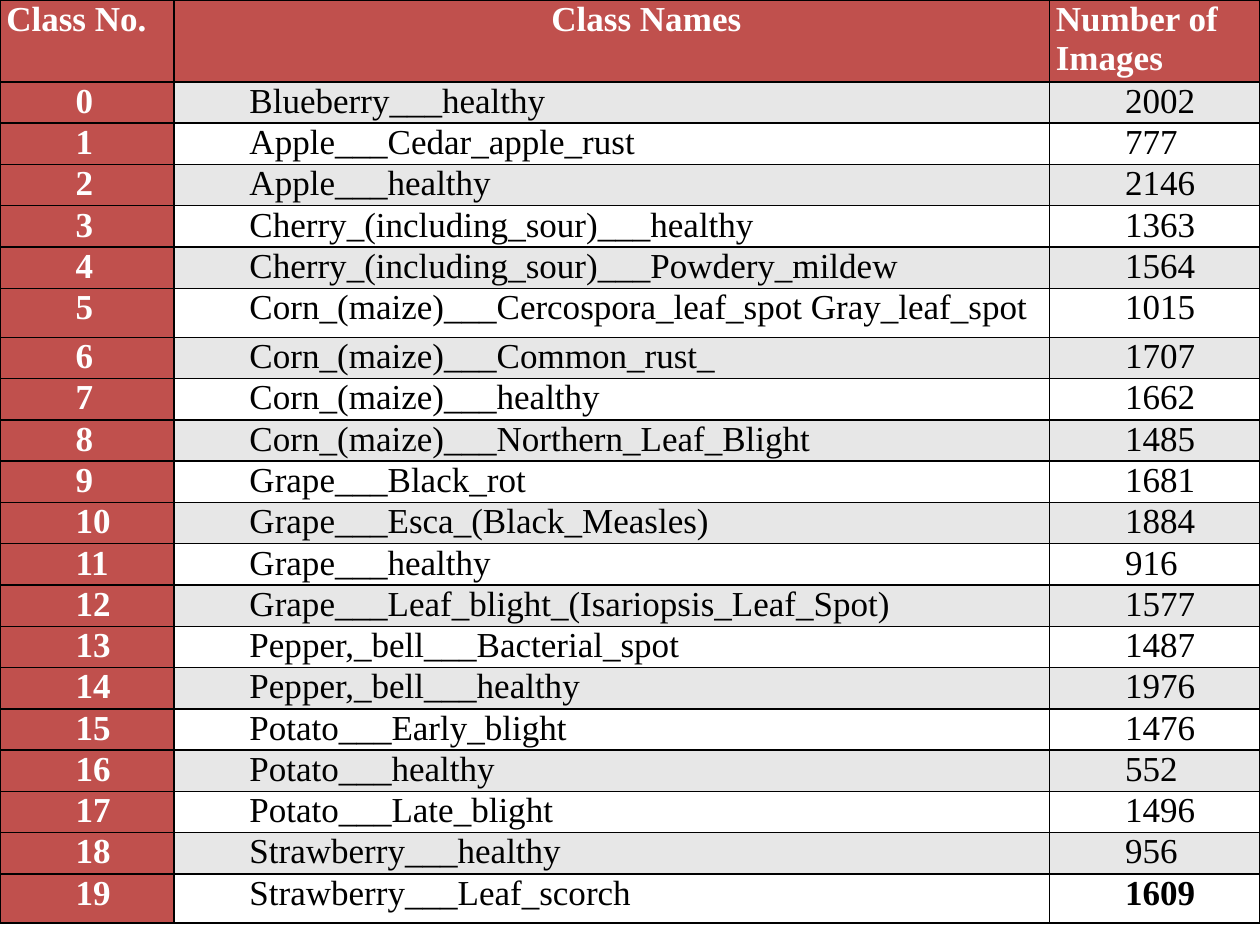
import dataclasses

import lxml.etree
import pptx
import pptx.dml.color
import pptx.enum.text
import pptx.oxml.ns
import pptx.util

Inches = pptx.util.Inches
RGBColor = pptx.dml.color.RGBColor


@dataclasses.dataclass(frozen=True)
class Theme:
    font: str = "Times New Roman"
    text_size: int = 20
    accent: str = "C0504D"
    band: str = "E7E7E7"
    plain: str = "FFFFFF"
    on_accent: str = "FFFFFF"
    text: str = "000000"
    border: str = "000000"
    border_width: int = 1


THEME = Theme()

HEADINGS = ["Class No.", "Class Names", "Number of Images"]
CLASSES = [
    ("Blueberry___healthy", 2002),
    ("Apple___Cedar_apple_rust", 777),
    ("Apple___healthy", 2146),
    ("Cherry_(including_sour)___healthy", 1363),
    ("Cherry_(including_sour)___Powdery_mildew", 1564),
    ("Corn_(maize)___Cercospora_leaf_spot Gray_leaf_spot", 1015),
    ("Corn_(maize)___Common_rust_", 1707),
    ("Corn_(maize)___healthy", 1662),
    ("Corn_(maize)___Northern_Leaf_Blight", 1485),
    ("Grape___Black_rot", 1681),
    ("Grape___Esca_(Black_Measles)", 1884),
    ("Grape___healthy", 916),
    ("Grape___Leaf_blight_(Isariopsis_Leaf_Spot)", 1577),
    ("Pepper,_bell___Bacterial_spot", 1487),
    ("Pepper,_bell___healthy", 1976),
    ("Potato___Early_blight", 1476),
    ("Potato___healthy", 552),
    ("Potato___Late_blight", 1496),
    ("Strawberry___healthy", 956),
    ("Strawberry___Leaf_scorch", 1609),
]

COLUMN_SHARES = [0.138, 0.695, 0.167]
HEADER_HEIGHT = Inches(0.65)
TALL_HEIGHT = Inches(0.39)
TALL_ROWS = {6, len(CLASSES)}
INDENT = Inches(0.55)


def add_borders(cell):
    """Draw a thin solid line on all four sides of a cell."""
    properties = cell._tc.get_or_add_tcPr()
    qn = pptx.oxml.ns.qn
    for side in ("a:lnL", "a:lnR", "a:lnT", "a:lnB"):
        line = lxml.etree.SubElement(
            properties, qn(side), w=str(pptx.util.Pt(THEME.border_width))
        )
        fill = lxml.etree.SubElement(line, qn("a:solidFill"))
        lxml.etree.SubElement(fill, qn("a:srgbClr"), val=THEME.border)


def fill_cell(cell, text, fill, color, bold, indent=0, centered=False):
    """Write one cell and give it its look."""
    add_borders(cell)
    cell.fill.solid()
    cell.fill.fore_color.rgb = RGBColor.from_string(fill)
    cell.margin_left = cell.margin_right = Inches(0.05)
    cell.margin_top = cell.margin_bottom = 0

    cell.text_frame.text = text
    para = cell.text_frame.paragraphs[0]
    if centered:
        para.alignment = pptx.enum.text.PP_ALIGN.CENTER
    if indent:
        properties = para._p.get_or_add_pPr()
        properties.set("marL", str(indent))
        properties.set("indent", "0")
    font = para.runs[0].font
    font.name = THEME.font
    font.size = pptx.util.Pt(THEME.text_size)
    font.bold = bold
    font.color.rgb = RGBColor.from_string(color)


def add_class_table(page, left, top, width, height):
    """Place the table of classes and image counts in the given box."""
    row_count = len(CLASSES) + 1
    table = page.shapes.add_table(
        row_count, len(HEADINGS), left, top, width, height
    ).table

    # Column widths and row heights
    for column, share in zip(table.columns, COLUMN_SHARES):
        column.width = round(width * share)
    tall_total = TALL_HEIGHT * len(TALL_ROWS)
    body_height = (height - HEADER_HEIGHT - tall_total) // (
        len(CLASSES) - len(TALL_ROWS)
    )
    for index, row in enumerate(table.rows):
        row.height = TALL_HEIGHT if index in TALL_ROWS else body_height
    table.rows[0].height = HEADER_HEIGHT

    # Header: only the middle heading is centred and indented
    for index, heading in enumerate(HEADINGS):
        middle = index == 1
        fill_cell(table.cell(0, index), heading, THEME.accent, THEME.on_accent,
                  True, INDENT if middle else 0, middle)

    # Body: accent number column, banded names and counts
    for number, (name, count) in enumerate(CLASSES):
        row = number + 1
        band = THEME.plain if number % 2 else THEME.band
        last = row == len(CLASSES)
        fill_cell(table.cell(row, 0), str(number), THEME.accent,
                  THEME.on_accent, True, INDENT)
        fill_cell(table.cell(row, 1), name, band, THEME.text, False, INDENT)
        fill_cell(table.cell(row, 2), str(count), band, THEME.text, last, INDENT)


def main():
    deck = pptx.Presentation()
    deck.slide_width = Inches(10)
    deck.slide_height = Inches(7.5)
    page = deck.slides.add_slide(deck.slide_layouts[6])
    add_class_table(page, 0, 0, deck.slide_width, Inches(7.33))
    deck.save("out.pptx")


if __name__ == "__main__":
    main()
